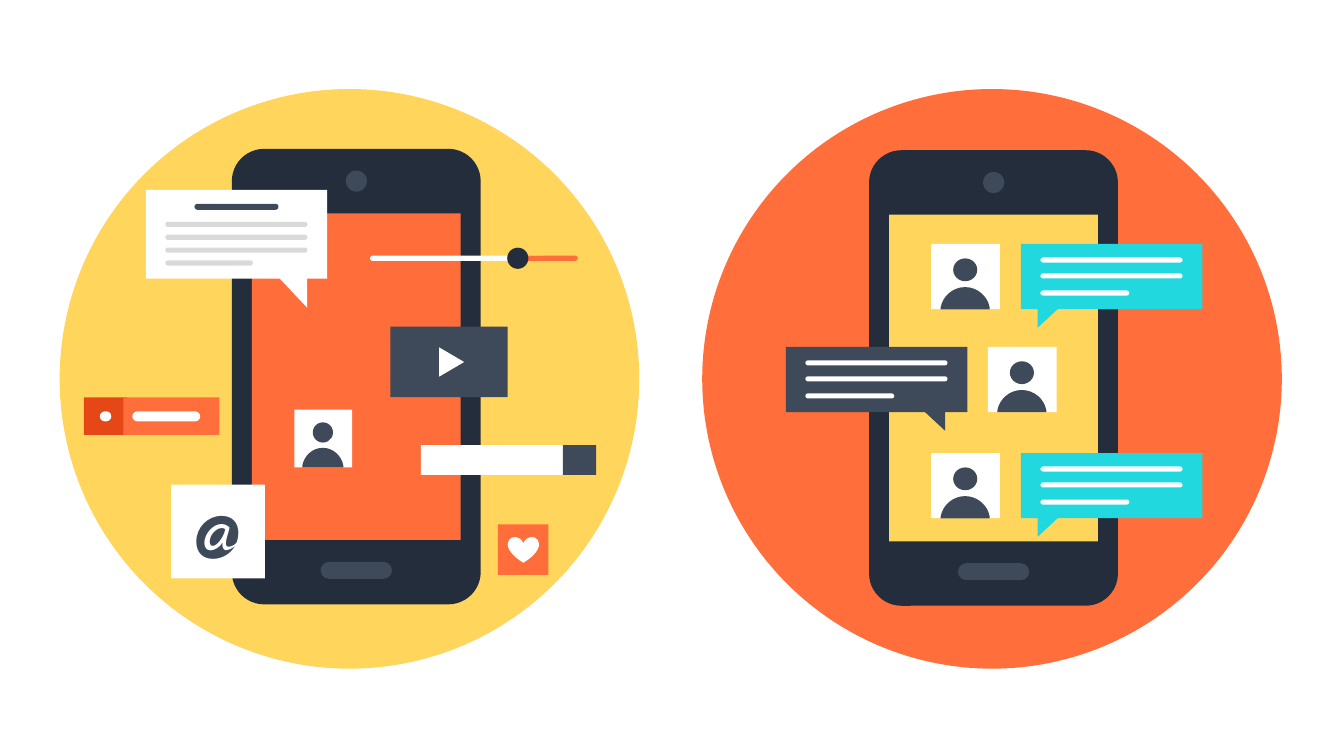
from lxml import etree
from pptx import Presentation
from pptx import util as u
from pptx.dml import color
from pptx.enum import shapes, text
from pptx.oxml import ns

M = shapes.MSO_SHAPE
YELLOW, ORANGE, CORAL, RED, CYAN = "FFD55C", "FF6E3B", "FF6D3B", "E64717", "21D8DE"
NAVY, SLATE, GREY, WHITE = "242D3C", "3E4959", "D9D9D9", "FFFFFF"


def rgb(value):
    return color.RGBColor.from_string(value)


def paint(sp, fill):
    sp.shadow.inherit = False
    sp.fill.solid()
    sp.fill.fore_color.rgb = rgb(fill)
    sp.line.fill.background()
    return sp


def shape(g, kind, x, y, w, h, fill, adj=None, rotation=0):
    sp = paint(g.add_shape(kind, u.Pt(x), u.Pt(y), u.Pt(w), u.Pt(h)), fill)
    sp.rotation = rotation
    if adj is not None:
        sp.adjustments[0] = adj
    return sp


def rect(g, x, y, w, h, fill):
    return shape(g, M.RECTANGLE, x, y, w, h, fill)


def oval(g, x, y, w, h, fill):
    return shape(g, M.OVAL, x, y, w, h, fill)


def pill(g, x, y, w, h, fill):
    return shape(g, M.ROUNDED_RECTANGLE, x, y, w, h, fill, .5)


def tail(g, x, y, w, h, fill, tip):
    return shape(g, M.ISOSCELES_TRIANGLE, x, y, w, h, fill, tip, 180)


def curve(w, h, points):
    bez = etree.Element(ns.qn("a:cubicBezTo"))
    for px, py in points:
        etree.SubElement(bez, ns.qn("a:pt"), x=str(u.Pt(px * w)), y=str(u.Pt(py * h)))
    return bez


def bust(g, x, y, w, h, fill):
    outline = [(u.Pt(x + px * w), u.Pt(y + py * h))
               for px, py in ((.5, 0), (1, .91), (1, 1), (0, 1), (0, .91))]
    fb = g.build_freeform(*outline[0], scale=1.0)
    fb.add_line_segments(outline[1:], close=True)
    sp = paint(fb.convert_to_shape(), fill)
    lines = list(sp._element.iter(ns.qn("a:lnTo")))
    lines[3].addnext(curve(w, h, ((.04, .41), (.25, 0), (.5, 0))))
    for extra in lines[4:]:
        extra.getparent().remove(extra)
    lines[0].getparent().replace(lines[0], curve(w, h, ((.75, 0), (.96, .41), (1, .91))))


def phone(g, x, y, screen):
    shape(g, M.ROUNDED_RECTANGLE, x, y, 177.8, 325.4, NAVY, .13)
    rect(g, x + 14.4, y + 46.1, 149, 233.3, screen)
    oval(g, x + 81.4, y + 15.5, 15.1, 15.1, SLATE)
    pill(g, x + 63.4, y + 295, 51, 12.2, SLATE)


def avatar(g, x, y, w, h):
    rect(g, x, y, w, h, WHITE)
    bust(g, x + .14 * w, y + .66 * h, .71 * w, .34 * h, SLATE)
    oval(g, x + .32 * w, y + .22 * h, .35 * w, .35 * h, SLATE)


def message(g, x, y, fill, tail_x, tip):
    rect(g, x, y, 129.6, 46.6, fill)
    tail(g, x + tail_x, y + 44.6, 16.5, 15.3, fill, tip)
    for dy, w in ((9.6, 101.5), (21, 101.5), (33.2, 63.5)):
        pill(g, x + 13.9, y + dy, w, 3.6, WHITE)


def post(g, x, y):
    rect(g, x, y, 129.6, 63.4, WHITE)
    tail(g, x + 93.6, y + 61.2, 21.6, 23, WHITE, 0)
    pill(g, x + 34.7, y + 10, 60, 4.3, SLATE)
    for i, w in enumerate((101.5, 101.5, 101.5, 62.6)):
        pill(g, x + 13.9, y + 22.8 + 9.2 * i, w, 3.7, GREY)


def at_card(g, x, y):
    rect(g, x, y, 67, 67, WHITE)
    sp = g.add_textbox(u.Pt(x + 1.4), u.Pt(y - 2.4), u.Pt(63.4), u.Pt(65.4))
    tf = sp.text_frame
    tf.word_wrap = True
    tf.auto_size = text.MSO_AUTO_SIZE.SHAPE_TO_FIT_TEXT
    p = tf.paragraphs[0]
    p.alignment = text.PP_ALIGN.CENTER
    r = p.add_run()
    r.text = "@"
    r.font.size = u.Pt(48)
    r.font.name = "Cabin"
    r.font.color.rgb = rgb(SLATE)


def video(g, x, y):
    rect(g, x, y, 83.9, 50.4, SLATE)
    shape(g, M.ISOSCELES_TRIANGLE, x + 33.4, y + 16.4, 20.9, 17.8, WHITE, rotation=90)


def like(g, x, y):
    rect(g, x, y, 36, 36, CORAL)
    shape(g, M.HEART, x + 7, y + 8.7, 22.3, 18.7, WHITE)


def slider(g, x, y):
    pill(g, x, y + 5.7, 125.3, 3.7, WHITE)
    pill(g, x + 103.7, y + 5.7, 44.7, 3.7, CORAL)
    oval(g, x + 98, y, 15.1, 15.1, NAVY)


def search(g, x, y):
    rect(g, x, y, 102, 21.2, WHITE)
    rect(g, x + 101.5, y, 23.7, 21.2, SLATE)


def badge(g, x, y):
    rect(g, x, y, 31, 26.9, RED)
    rect(g, x + 28.2, y, 68.6, 26.9, ORANGE)
    pill(g, x + 34.6, y + 10, 48.5, 7.2, WHITE)
    pill(g, x + 11.4, y + 10, 8.2, 7.2, WHITE)


def chat_scene(s, x, y):
    def group():
        return s.shapes.add_group_shape().shapes

    phone(group(), x + 119.2, y + 43.7, YELLOW)
    avatar(group(), x + 204, y + 184.2, 49.2, 46.6)
    message(group(), x + 59.8, y + 184.2, SLATE, 97.2, 0)
    for dy in (110.7, 260):
        avatar(group(), x + 163.5, y + dy, 49.2, 46.6)
        message(group(), x + 227.7, y + dy, CYAN, 11.8, 1)


def social_scene(s, x, y):
    def group():
        return s.shapes.add_group_shape().shapes

    phone(group(), x + 123, y + 42.7, CORAL)
    post(group(), x + 61.6, y + 72)
    at_card(group(), x + 79.6, y + 282.6)
    video(group(), x + 236.2, y + 169.7)
    like(group(), x + 313.1, y + 311)
    slider(group(), x + 221.7, y + 113.3)
    search(group(), x + 258, y + 254.4)
    badge(group(), x + 17.3, y + 220.2)
    avatar(group(), x + 167.6, y + 229, 41.3, 41.3)


def main():
    prs = Presentation()
    prs.slide_width, prs.slide_height = u.Pt(960), u.Pt(540)
    s = prs.slides.add_slide(prs.slide_layouts[6])
    left, right, top = 42.6, 501.6, 63.6
    for x, fill in ((left, YELLOW), (right, ORANGE)):
        oval(s.shapes, x, top, 414, 414, fill)
    chat_scene(s, right, top)
    social_scene(s, left, top)
    prs.save("out.pptx")


if __name__ == "__main__":
    main()
